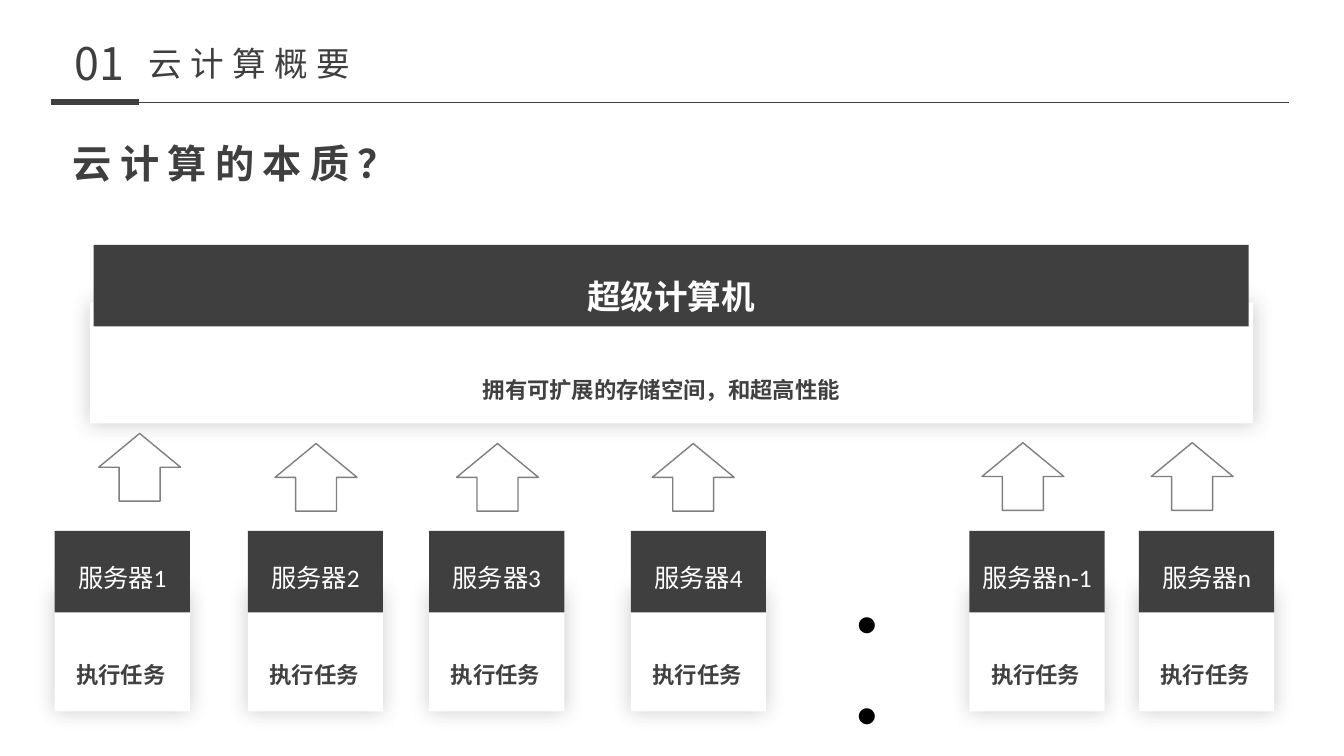
from lxml import etree
from pptx import Presentation
from pptx.dml.color import RGBColor
from pptx.enum.shapes import MSO_CONNECTOR as CONN, MSO_SHAPE as SHAPE
from pptx.enum.text import MSO_AUTO_SIZE as FIT, PP_ALIGN as ALIGN
from pptx.oxml.ns import qn
from pptx.util import Inches, Pt

COLUMNS, ROWS = 160, 90
CELL = Inches(1) / 12
CJK, LATIN = "Noto Sans CJK SC", "Calibri"
COLORS = {
    "dark": "3F3F3F",
    "note": "404040",
    "edge": "7F7F7F",
    "white": "FFFFFF",
    "black": "000000",
}
SERVERS = [
    ("服务器1", 6.5, 11.75, 51.6),
    ("服务器2", 29.5, 32.75, 52.8),
    ("服务器3", 51.1, 54.35, 52.8),
    ("服务器4", 75.1, 77.65, 52.8),
    ("服务器n-1", 115.4, 116.9, 52.7),
    ("服务器n", 135.6, 137.05, 52.7),
]


def cells(*values):
    return [round(v * CELL) for v in values]


def color(name):
    return RGBColor.from_string(COLORS[name])


def add_effects(sp, shadow):
    effects = etree.SubElement(sp._element.spPr, qn("a:effectLst"))
    if shadow:
        outer = etree.SubElement(effects, qn("a:outerShdw"), blurRad=str(Pt(15)),
                                 dist="0", dir="0", algn="ctr", rotWithShape="0")
        black = etree.SubElement(outer, qn("a:srgbClr"), val=COLORS["black"])
        etree.SubElement(black, qn("a:alpha"), val="20000")


def add_rule(shapes, start, end, row, width):
    line = shapes.add_connector(CONN.STRAIGHT, *cells(start, row, end, row))
    line.line.color.rgb = color("dark")
    line.line.width = Pt(width)
    add_effects(line, False)


def add_text(shapes, box, text, size, fill="dark", font=CJK, bold=False,
             align=ALIGN.CENTER, spacing=None, tracking=0):
    tf = shapes.add_textbox(*cells(*box)).text_frame
    tf.word_wrap = True
    tf.auto_size = FIT.SHAPE_TO_FIT_TEXT
    p = tf.paragraphs[0]
    p.alignment = align
    if spacing:
        p.line_spacing = spacing
    p.font.size = Pt(size)
    p.font.bold = bold
    p.font.name = font
    p.font.color.rgb = color(fill)
    r = p.add_run()
    r.text = text
    props = r._r.get_or_add_rPr()
    props.set("lang", "zh-CN")
    if tracking:
        props.set("spc", str(tracking * 100))
    etree.SubElement(props, qn("a:ea"), typeface=CJK)


def add_block(shapes, kind, box, fill, edge=None, shadow=False):
    sp = shapes.add_shape(kind, *cells(*box))
    sp.fill.solid()
    sp.fill.fore_color.rgb = color(fill)
    if edge:
        sp.line.color.rgb = color(edge)
        sp.line.width = Pt(1)
    else:
        sp.line.fill.background()
    add_effects(sp, shadow)
    return sp


def add_card(slide, body, head, title_box, title, title_size, title_bold, note_box, note):
    shapes = slide.shapes.add_group_shape().shapes
    add_block(shapes, SHAPE.RECTANGLE, body, "white", shadow=True)
    add_block(shapes, SHAPE.RECTANGLE, head, "dark")
    add_text(shapes, title_box, title, title_size, "white", LATIN, title_bold)
    add_text(shapes, note_box, note, 16, "note", LATIN, True, spacing=1.5)


def add_server(slide, name, left):
    add_card(slide, (left, 70.3, 16.1, 14.4), (left, 63.2, 16.1, 9.7),
             (left - 0.35, 66.4, 16.8, 4.8), name, 18, False,
             (left + 0.7, 76.55, 14.4, 4.6), "执行任务")


def add_arrow(slide, left, top):
    sp = add_block(slide.shapes, SHAPE.DOWN_ARROW, (left, top, 9.75, 8.05), "white", "edge")
    sp.rotation = 180


def add_header(slide):
    shapes = slide.shapes
    add_rule(shapes, 6.1, 16.55, 12.15, 4.5)
    add_rule(shapes, 16.55, 153.5, 12.15, 0.5)
    add_text(shapes, (16.55, 4.55, 42, 6), "云计算概要", 24, align=ALIGN.LEFT, tracking=6)
    add_text(shapes, (3.85, 3.7, 16, 7.7), "01", 32)
    add_text(shapes, (7.45, 16, 66.25, 6.85), "云计算的本质？", 28,
             bold=True, align=ALIGN.LEFT, tracking=6)


def main():
    prs = Presentation()
    prs.slide_width, prs.slide_height = cells(COLUMNS, ROWS)
    slide = prs.slides.add_slide(prs.slide_layouts[6])
    add_header(slide)
    for name, left, _, _ in SERVERS:
        add_server(slide, name, left)
    add_text(slide.shapes, (96.1, 68.3, 14.4, 12.1), "······", 54, "black")
    add_card(slide, (10.7, 36, 138.5, 14.4), (11.15, 29.15, 137.5, 9.7),
             (8.15, 32.3, 143.5, 6), "超级计算机", 24, True,
             (17.3, 42.6, 122.9, 5.5), "拥有可扩展的存储空间，和超高性能")
    for _, _, left, top in SERVERS:
        add_arrow(slide, left, top)
    prs.save("out.pptx")


if __name__ == "__main__":
    main()
